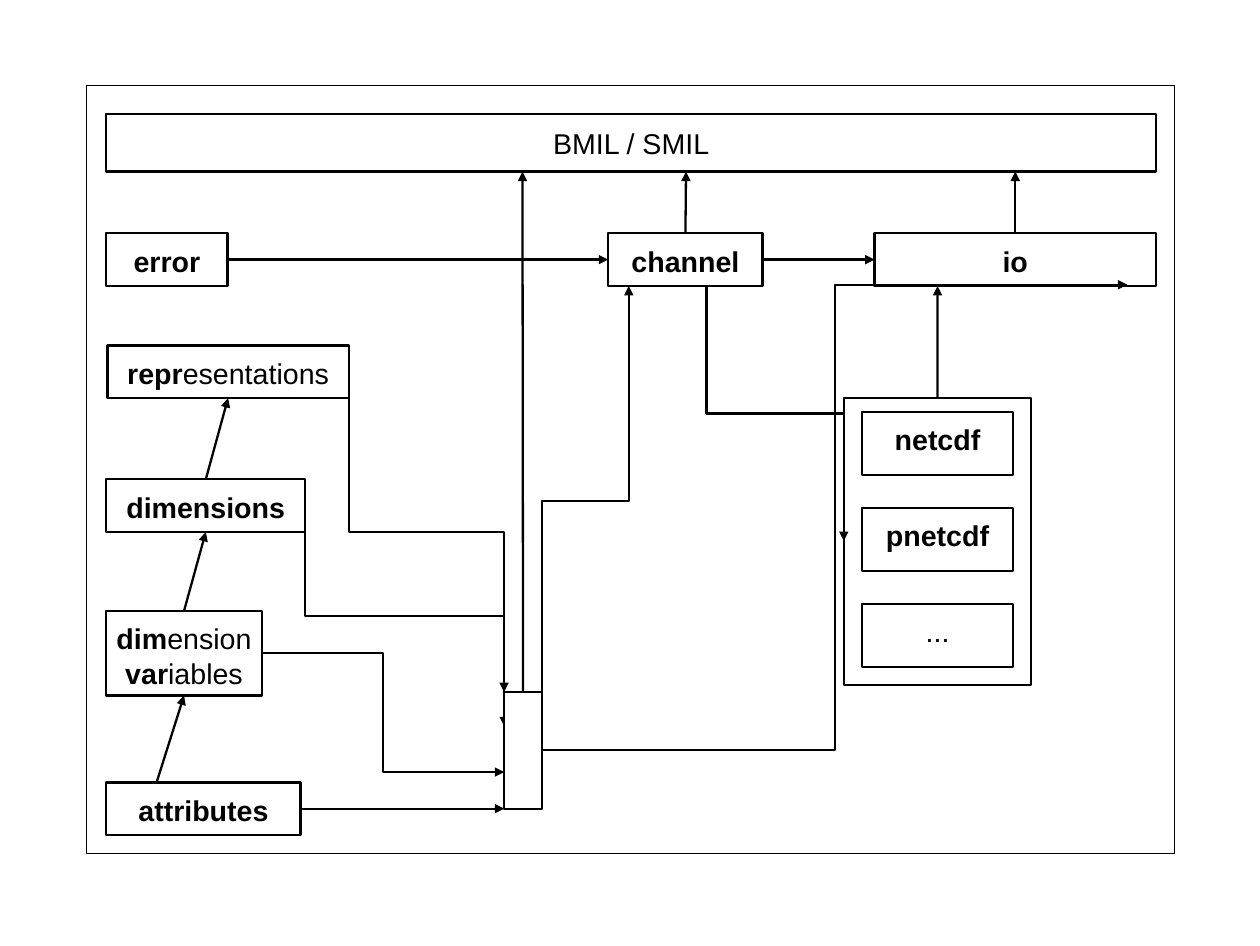
from lxml import etree
from pptx import Presentation
from pptx.dml.color import RGBColor
from pptx.enum.shapes import MSO_CONNECTOR, MSO_SHAPE
from pptx.enum.text import MSO_ANCHOR, PP_ALIGN
from pptx.oxml.ns import qn
from pptx.util import Inches, Pt

RECTANGLE = MSO_SHAPE.RECTANGLE
STRAIGHT, ELBOW = MSO_CONNECTOR.STRAIGHT, MSO_CONNECTOR.ELBOW
CENTER = PP_ALIGN.CENTER
TOP_ANCHOR, MIDDLE = MSO_ANCHOR.TOP, MSO_ANCHOR.MIDDLE
BLACK = RGBColor(0x00, 0x00, 0x00)
WHITE = RGBColor(0xFF, 0xFF, 0xFF)
TOP, LEFT, BOTTOM, RIGHT = range(4)
THREE_QUARTER_TURN = str(270 * 60000)


class Diagram:
    font, size, stroke = "Arial", 18, 1.45

    def __init__(self, page):
        self.shapes = page.shapes

    def box(self, left, top, width, height, lines=(), filled=True, stroke=stroke,
            anchor=TOP_ANCHOR, wrap=False):
        box = self.shapes.add_shape(
            RECTANGLE, Inches(left), Inches(top), Inches(width), Inches(height))
        box.shadow.inherit = False
        if filled:
            box.fill.solid()
            box.fill.fore_color.rgb = WHITE
        else:
            box.fill.background()
        box.line.color.rgb = BLACK
        box.line.width = Pt(stroke)
        if lines:
            self.label(box.text_frame, lines, anchor, wrap)
        return box

    def label(self, frame, lines, anchor, wrap):
        frame.word_wrap = wrap
        frame.vertical_anchor = anchor
        frame.margin_left = frame.margin_right = Inches(0.09)
        frame.margin_top = frame.margin_bottom = Inches(0.09)
        for index, (bold_text, plain_text) in enumerate(lines):
            para = frame.paragraphs[0] if index == 0 else frame.add_paragraph()
            para.alignment = CENTER
            para.font.name = self.font
            para.font.size = Pt(self.size)
            para.font.color.rgb = BLACK
            for text, bold in ((bold_text, True), (plain_text, False)):
                if text:
                    span = para.add_run()
                    span.text = text
                    span.font.bold = bold

    def connector(self, kind, start, end):
        line = self.shapes.add_connector(kind, *(Inches(value) for value in start + end))
        line.line.color.rgb = BLACK
        line.line.width = Pt(self.stroke)
        properties = line._element.spPr
        etree.SubElement(properties.find(qn("a:ln")), qn("a:tailEnd"), type="triangle")
        etree.SubElement(properties, qn("a:effectLst"))
        return line

    def arrow(self, start, end, source=None, target=None):
        line = self.connector(STRAIGHT, start, end)
        if source:
            line.begin_connect(*source)
        if target:
            line.end_connect(*target)

    def elbow(self, start, end):
        self.connector(ELBOW, start, end)

    def upright_elbow(self, start, end):
        middle_x, middle_y = (start[0] + end[0]) / 2, (start[1] + end[1]) / 2
        turned = [(middle_x - y + middle_y, middle_y + x - middle_x) for x, y in (start, end)]
        line = self.connector(ELBOW, *turned)
        line._element.spPr.find(qn("a:xfrm")).set("rot", THREE_QUARTER_TURN)


def main():
    deck = Presentation()
    deck.slide_width, deck.slide_height = Inches(11.02), Inches(8.27)
    diagram = Diagram(deck.slides.add_slide(deck.slide_layouts[6]))

    attributes = diagram.box(0.93, 6.84, 1.7, 0.46, [("attributes", "")])
    variables = diagram.box(0.93, 5.34, 1.36, 0.74, [("dim", "ension"), ("var", "iables")])
    dimensions = diagram.box(0.93, 4.19, 1.74, 0.46, [("dimensions", "")])
    error = diagram.box(0.93, 2.04, 1.06, 0.46, [("error", "")])
    channel = diagram.box(5.32, 2.04, 1.35, 0.46, [("channel", "")])
    representations = diagram.box(0.94, 3.02, 2.11, 0.46, [("repr", "esentations")])
    access = diagram.box(7.65, 2.04, 2.46, 0.46, [("io", "")])
    formats = [("netcdf", ""), ("pnetcdf", ""), ("", "...")]
    for index, name in enumerate(formats):
        diagram.box(7.54, 3.6 + 0.84 * index, 1.32, 0.55, [name])

    diagram.arrow((1.37, 6.84), (1.61, 6.08), target=(variables, BOTTOM))
    diagram.arrow((1.61, 5.34), (1.8, 4.65), (variables, TOP), (dimensions, BOTTOM))
    diagram.arrow((1.8, 4.19), (1.99, 3.48), (dimensions, TOP), (representations, BOTTOM))
    diagram.upright_elbow((3.05, 3.25), (4.41, 6.05))
    diagram.upright_elbow((2.67, 4.42), (4.41, 6.35))
    diagram.elbow((2.29, 5.71), (4.41, 6.75))
    diagram.arrow((2.63, 7.07), (4.41, 7.07), source=(attributes, RIGHT))
    diagram.arrow((1.99, 2.27), (5.32, 2.27), (error, RIGHT), (channel, LEFT))

    junction = diagram.box(4.41, 6.05, 0.33, 1.02)
    diagram.arrow((6.67, 2.27), (7.65, 2.27), (channel, RIGHT), (access, LEFT))
    diagram.elbow((4.74, 6.56), (9.86, 2.49))
    diagram.upright_elbow((4.74, 6.26), (5.5, 2.5))
    diagram.arrow((6, 2.04), (6, 1.5), source=(channel, TOP))
    diagram.arrow((8.88, 2.04), (8.88, 1.5), source=(access, TOP))

    diagram.box(0.76, 0.75, 9.51, 6.71, filled=False, stroke=0)
    diagram.upright_elbow((6.18, 2.5), (7.38, 4.73))
    format_group = diagram.box(7.38, 3.48, 1.64, 2.51, filled=False)
    diagram.arrow((8.2, 3.48), (8.2, 2.5), source=(format_group, TOP))
    diagram.arrow((4.57, 6.05), (4.57, 1.5), source=(junction, TOP))
    diagram.box(0.93, 1, 9.18, 0.5, [("", "BMIL / SMIL")],
                filled=False, anchor=MIDDLE, wrap=True)

    deck.save("out.pptx")


if __name__ == "__main__":
    main()
